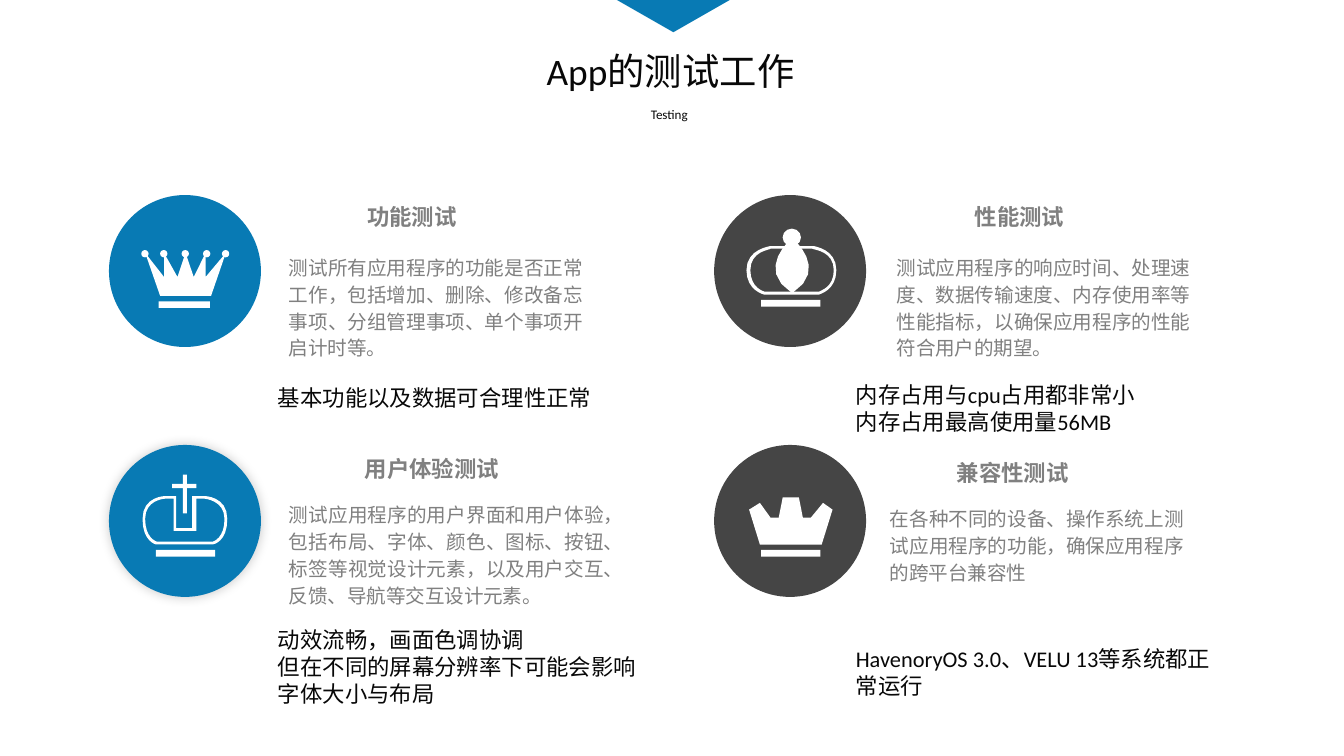
from lxml.etree import SubElement
from pptx import Presentation
from pptx.dml.color import RGBColor
from pptx.enum.shapes import MSO_SHAPE
from pptx.enum.text import MSO_ANCHOR, MSO_AUTO_SIZE, PP_ALIGN
from pptx.oxml.ns import qn
from pptx.util import Pt

BLUE = RGBColor(0x08, 0x7A, 0xB4)
DARK = RGBColor(0x45, 0x45, 0x45)
WHITE = RGBColor(0xFF, 0xFF, 0xFF)
GREY = RGBColor(0x80, 0x80, 0x80)
INK = RGBColor(0x08, 0x08, 0x08)
CJK = "Noto Sans CJK SC"
LATIN = "Calibri"

# Icon parts are placed relative to the badge's top left corner.
# In an outline, 2 numbers are a straight step and 6 a Bezier curve.
BADGE = 81.4
DOT, DOT_TOP = 3.9, 29.5
WIDE_BAR = (25.2, 56.2, 31.7, 3.6)
POINTED_CROWN = {
    "ellipses": [(x, DOT_TOP, DOT, DOT) for x in (17.3, 27.4, 38.9, 50.4, 60.5)],
    "outlines": [[[(51.8, 43.9), (51.8, 31), (45.4, 43.9), (41, 31), (36.7, 43.9),
                   (29.5, 31), (29.5, 43.9), (19.4, 31), (27.4, 54), (54.7, 54),
                   (62.6, 31)]]],
    "bars": [(26.6, 56.9, 27.4, 3.6)],
}
ORB_CROWN = {
    "ellipses": [(36.7, 18, 9.8, 9.4)],
    "outlines": [
        [[(56.2, 53.3), (26.6, 53.3), (26.6, 53.3, 17.3, 51.1, 17.3, 40.3),
          (17.3, 28.8, 30.2, 27.4, 30.2, 27.4), (53.3, 27.4),
          (53.3, 27.4, 65.5, 28.8, 65.5, 40.3), (65.5, 51.1, 56.2, 53.3, 56.2, 53.3)],
         [(27.4, 51.8), (56.2, 51.8), (56.9, 51.1, 64.1, 49.7, 64.1, 40.3),
          (64.1, 30.2, 54, 29.5, 52.6, 28.8), (30.2, 28.8),
          (29.5, 29.5, 19.4, 30.2, 19.4, 40.3), (19.4, 49.7, 26.6, 51.8, 27.4, 51.8)]],
        [[(41.8, 23), (41.8, 23, 21.6, 39.6, 41.8, 52.6),
          (62, 39.6, 41.8, 23, 41.8, 23)]],
    ],
    "bars": [WIDE_BAR],
}
CROSS_CROWN = {
    "ellipses": [],
    "outlines": [
        [[(55.4, 53.3), (25.2, 53.3), (25.2, 53.3, 18, 51.8, 18, 39.6),
          (18, 27.4, 30.2, 27.4, 30.2, 27.4), (36, 27.4), (36, 44.6), (44.6, 44.6),
          (44.6, 27.4), (51.1, 27.4), (51.1, 27.4, 63.4, 27.4, 63.4, 39.6),
          (63.4, 51.8, 56.2, 53.3, 55.4, 53.3)],
         [(25.9, 51.8), (55.4, 51.8), (56.2, 51.8, 61.9, 49.7, 61.9, 39.6),
          (61.9, 29.5, 51.1, 28.8, 51.1, 28.8), (46.8, 28.8), (46.8, 46.1),
          (34.6, 46.1), (34.6, 28.8), (30.2, 28.8),
          (29.5, 28.8, 19.4, 29.5, 19.4, 39.6), (19.4, 49.7, 25.2, 51.8, 25.9, 51.8)]],
    ],
    "bars": [(39.6, 15.8, 2.2, 20.9), (33.8, 20.9, 13, 2.2), WIDE_BAR],
}
TOWER_CROWN = {
    "ellipses": [],
    "outlines": [[[(58.3, 31), (51.8, 38.9), (47.5, 38.9), (45.4, 28.1), (36.7, 28.1),
                   (34.6, 38.9), (30.2, 38.9), (24.5, 31), (18.7, 34.6), (24.5, 53.3),
                   (57.6, 53.3), (63.4, 34.6)]]],
    "bars": [WIDE_BAR],
}

COLUMNS, ROWS = (58.4, 382.6), (104.5, 238.4)
# column, row, badge colour, icon, shadow, then (box, text) for each text
TOPICS = [
    (0, 0, BLUE, POINTED_CROWN, False,
     ((141.8, 103.7, 157.7, 25.2), "功能测试"),
     ((141.8, 128.9, 183.6, 70.6),
      "测试所有应用程序的功能是否正常工作，包括增加、删除、修改备忘事项、分组管理事项、单个事项开启计时等。"),
     ((141.8, 202.3, 215.3, 21.6), "基本功能以及数据可合理性正常")),
    (0, 1, BLUE, CROSS_CROWN, True,
     ((141.8, 239, 179.3, 25.2), "用户体验测试"),
     ((141.8, 261.4, 195.1, 70.6),
      "测试应用程序的用户界面和用户体验，包括布局、字体、颜色、图标、按钮、标签等视觉设计元素，以及用户交互、反馈、导航等交互设计元素。"),
     ((141.8, 331.9, 215.3, 51.1),
      "动效流畅，画面色调协调\n但在不同的屏幕分辨率下可能会影响字体大小与布局")),
    (1, 0, DARK, ORB_CROWN, False,
     ((467.3, 103.7, 157.7, 25.2), "性能测试"),
     ((467.3, 128.9, 183.6, 70.6),
      "测试应用程序的响应时间、处理速度、数据传输速度、内存使用率等性能指标，以确保应用程序的性能符合用户的期望。"),
     ((451.4, 200.9, 215.3, 36), "内存占用与cpu占用都非常小\n内存占用最高使用量56MB")),
    (1, 1, DARK, TOWER_CROWN, False,
     ((463.7, 241.2, 157.7, 25.2), "兼容性测试"),
     ((463.7, 263.5, 183.6, 55.4),
      "在各种不同的设备、操作系统上测试应用程序的功能，确保应用程序的跨平台兼容性"),
     ((451.4, 342, 215.3, 36), "HavenoryOS 3.0、VELU 13等系统都正常运行")),
]
TITLE = ((245.5, 22.3, 227.5, 32.4), "App的测试工作")
SUBTITLE = ((237.6, 53.3, 241.9, 15.8), "Testing")
POINTER = [[(330.5, 0), (391, 0), (360.8, 17.3)]]

# inset is (horizontal, vertical)
TITLE_STYLE = dict(inset=(7.2, 3.6), para=dict(alignment=PP_ALIGN.CENTER),
                   font=dict(size=Pt(20), name=LATIN), color=INK)
SUBTITLE_STYLE = TITLE_STYLE | dict(font=dict(size=Pt(7), name=LATIN))
HEADING_STYLE = dict(inset=(10.8, 5), para=dict(alignment=PP_ALIGN.CENTER),
                     font=dict(size=Pt(12), name=CJK, bold=True), color=GREY)
DETAIL_STYLE = dict(inset=(13, 6.5),
                    para=dict(alignment=PP_ALIGN.JUSTIFY, line_spacing=1.14),
                    font=dict(size=Pt(10.5), name=LATIN), color=GREY)
RESULT_STYLE = dict(inset=(7.2, 3.6), para=dict(alignment=PP_ALIGN.LEFT),
                    font=dict(size=Pt(12), name=LATIN), color=INK)


def set_all(target, values):
    for name, value in values.items():
        setattr(target, name, value)


def paint(sp, color):
    sp.fill.solid()
    sp.fill.fore_color.rgb = color
    sp.line.fill.background()
    sp.shadow.inherit = False
    return sp


def add_preset(shapes, kind, x, y, w, h, color):
    return paint(shapes.add_shape(kind, Pt(x), Pt(y), Pt(w), Pt(h)), color)


def flatten(contour, steps=8):
    """Turn the curves of a contour into short straight steps."""
    points = [contour[0]]
    for step in contour[1:]:
        if len(step) == 2:
            points.append(step)
            continue
        ends = (points[-1], step[:2], step[2:4], step[4:])
        for i in range(1, steps + 1):
            t = i / steps
            weights = ((1 - t) ** 3, 3 * t * (1 - t) ** 2, 3 * t * t * (1 - t), t ** 3)
            points.append(tuple(sum(k * e[axis] for k, e in zip(weights, ends))
                                for axis in (0, 1)))
    return points


def add_outline(shapes, contours, color, x=0, y=0):
    builder = None
    for contour in contours:
        first, *rest = [(Pt(x + px), Pt(y + py)) for px, py in flatten(contour)]
        if builder is None:
            builder = shapes.build_freeform(*first)
        else:
            builder.move_to(*first)
        builder.add_line_segments(rest, close=True)
    return paint(builder.convert_to_shape(), color)


def add_soft_shadow(sp):
    effects = sp._element.spPr.find(qn("a:effectLst"))
    shadow = SubElement(effects, qn("a:outerShdw"), blurRad=str(Pt(6)), dist="0",
                        dir=str(315 * 60000), algn="ctr", rotWithShape="0")
    color = SubElement(shadow, qn("a:srgbClr"), val="000000")
    SubElement(color, qn("a:alpha"), val="20000")


def add_badge(slide, x, y, color, icon, shadowed):
    shapes = slide.shapes.add_group_shape().shapes
    disc = add_preset(shapes, MSO_SHAPE.OVAL, x, y, BADGE, BADGE, color)
    if shadowed:
        add_soft_shadow(disc)
    for contours in icon["outlines"]:
        add_outline(shapes, contours, WHITE, x, y)
    for part, kind in (("ellipses", MSO_SHAPE.OVAL), ("bars", MSO_SHAPE.RECTANGLE)):
        for dx, dy, w, h in icon[part]:
            add_preset(shapes, kind, x + dx, y + dy, w, h, WHITE)


def write(sp, box, text, style):
    set_all(sp, dict(zip(("left", "top", "width", "height"), map(Pt, box))))
    tf = sp.text_frame
    across, down = map(Pt, style["inset"])
    set_all(tf, dict(word_wrap=True, auto_size=MSO_AUTO_SIZE.SHAPE_TO_FIT_TEXT,
                     vertical_anchor=MSO_ANCHOR.TOP, margin_left=across,
                     margin_right=across, margin_top=down, margin_bottom=down))
    tf.text = text
    for p in tf.paragraphs:
        set_all(p, style["para"])
        for r in p.runs:
            set_all(r.font, style["font"])
            r.font.color.rgb = style["color"]
            latin = r._r.rPr.find(qn("a:latin"))
            latin.addnext(latin.makeelement(qn("a:ea"), {"typeface": CJK}))


def add_text(slide, box, text, style):
    write(slide.shapes.add_textbox(0, 0, 0, 0), box, text, style)


prs = Presentation()
prs.slide_width, prs.slide_height = Pt(720), Pt(405)
s = prs.slides.add_slide(prs.slide_layouts[5])
write(s.shapes.title, *TITLE, TITLE_STYLE)
add_text(s, *SUBTITLE, SUBTITLE_STYLE)
add_outline(s.shapes, POINTER, BLUE)
for column, row, color, icon, shadowed, *texts in TOPICS:
    add_badge(s, COLUMNS[column], ROWS[row], color, icon, shadowed)
    for (box, text), style in zip(texts, (HEADING_STYLE, DETAIL_STYLE, RESULT_STYLE)):
        add_text(s, box, text, style)
prs.save("out.pptx")
